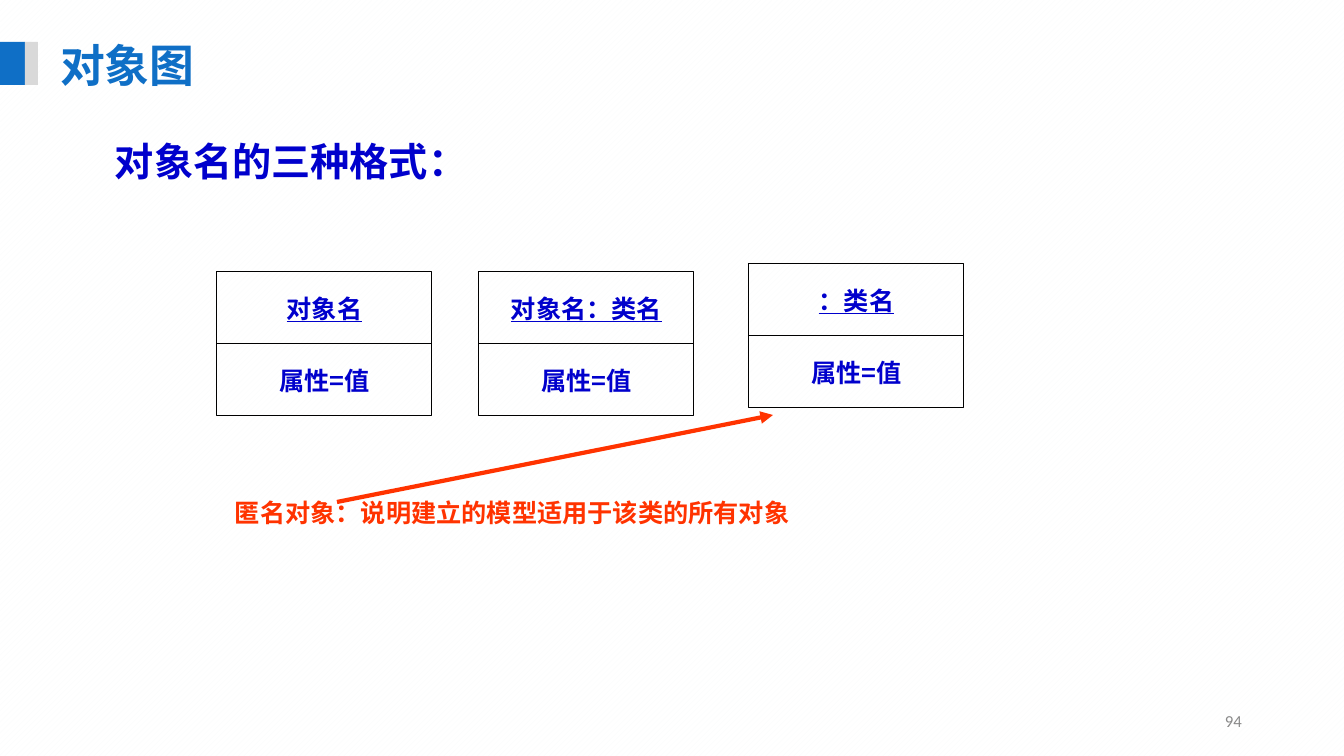
from dataclasses import dataclass

from lxml import etree
from pptx import Presentation, util as u
from pptx.dml.color import RGBColor
from pptx.enum import dml, shapes, text
from pptx.oxml.ns import qn

TITLE = "对象图"
HEADING = "对象名的三种格式："
NOTE = "匿名对象：说明建立的模型适用于该类的所有对象"
PAGE = "94"
ATTRIBUTE = "属性=值"
OBJECTS = [("对象名", 217, 272), ("对象名：类名", 479, 272), ("：类名", 749, 264)]
CELL_W, CELL_H = 215, 72
ACCENT_BARS = [(0, 25, "0F6FC6"), (25, 13, "D9D9D9")]
ARROWS = [((495, 502), (495, 502), "000000", 0.75),
          ((337, 502), (773, 415), "FF3300", 3)]


@dataclass(frozen=True)
class Theme:
    cjk: str = "Noto Sans CJK SC"
    latin: str = "Calibri"
    title: str = "0F6FC6"
    ink: str = "0000CC"
    note: str = "FF3300"
    page: str = "898989"
    border: str = "000000"
    paper: str = "FFFFFF"
    stripe: str = "F9FBFB"
    title_pt: int = 32
    heading_pt: int = 28
    body_pt: int = 18
    page_pt: int = 12


theme = Theme()


def px(n):
    return u.Emu(round(n * 914400 / 100.8))


def rgb(value):
    return RGBColor.from_string(value)


def write(holder, words, size, color, align=text.PP_ALIGN.LEFT,
          font=theme.cjk, bold=True, underline=False, wrap=True):
    frame = holder.text_frame
    frame.text = words
    frame.word_wrap = wrap
    frame.auto_size = text.MSO_AUTO_SIZE.NONE
    frame.vertical_anchor = text.MSO_ANCHOR.MIDDLE
    frame.margin_top = frame.margin_bottom = 0
    paragraph = frame.paragraphs[0]
    paragraph.alignment = align
    run = paragraph.runs[0]
    run.font.name = font
    run.font.size = u.Pt(size)
    run.font.bold = bold
    run.font.underline = underline
    run.font.color.rgb = rgb(color)
    east_asian = etree.SubElement(run.font._element, qn("a:ea"))
    east_asian.set("typeface", font)


def place(holder, left, top, width, height):
    holder.left, holder.top = px(left), px(top)
    holder.width, holder.height = px(width), px(height)


def add_label(slide, left, top, width, height, *words, **style):
    label = slide.shapes.add_textbox(px(left), px(top), px(width), px(height))
    write(label, *words, **style)


def add_rect(slide, left, top, width, height):
    rect = slide.shapes.add_shape(shapes.MSO_SHAPE.RECTANGLE,
                                  px(left), px(top), px(width), px(height))
    rect.shadow.inherit = False
    return rect


def add_cell(slide, left, top, words, underline):
    cell = add_rect(slide, left, top, CELL_W, CELL_H)
    cell.fill.background()
    cell.line.color.rgb = rgb(theme.border)
    cell.line.width = u.Pt(0.75)
    write(cell, words, theme.body_pt, theme.ink, text.PP_ALIGN.CENTER,
          underline=underline, wrap=False)


def add_arrow(slide, start, end, color, weight):
    arrow = slide.shapes.add_connector(
        shapes.MSO_CONNECTOR.STRAIGHT, *map(px, start + end))
    arrow.line.color.rgb = rgb(color)
    arrow.line.width = u.Pt(weight)
    etree.SubElement(arrow.line._get_or_add_ln(), qn("a:tailEnd"), type="triangle")
    etree.SubElement(arrow._element.spPr, qn("a:effectLst"))


def main():
    deck = Presentation()
    deck.slide_width, deck.slide_height = px(1344), px(756)
    slide = deck.slides.add_slide(deck.slide_layouts[5])

    paper = slide.background.fill
    paper.patterned()
    paper.pattern = dml.MSO_PATTERN.WIDE_UPWARD_DIAGONAL
    paper.fore_color.rgb = rgb(theme.stripe)
    paper.back_color.rgb = rgb(theme.paper)

    for left, width, color in ACCENT_BARS:
        bar = add_rect(slide, left, 42, width, 43)
        bar.fill.solid()
        bar.fill.fore_color.rgb = rgb(color)
        bar.line.fill.background()

    place(slide.shapes.title, 50, 32, 788, 65)
    write(slide.shapes.title, TITLE, theme.title_pt, theme.title)

    for name, left, top in OBJECTS:
        add_cell(slide, left, top, name, True)
        add_cell(slide, left, top + CELL_H, ATTRIBUTE, False)

    add_label(slide, 105, 132, 715, 57, HEADING, theme.heading_pt, theme.ink)
    add_label(slide, 225, 492, 770, 40, NOTE, theme.body_pt, theme.note)
    add_label(slide, 950, 701, 302, 40, PAGE, theme.page_pt, theme.page,
              align=text.PP_ALIGN.RIGHT, font=theme.latin, bold=False)

    for arrow in ARROWS:
        add_arrow(slide, *arrow)

    deck.save("out.pptx")


if __name__ == "__main__":
    main()
